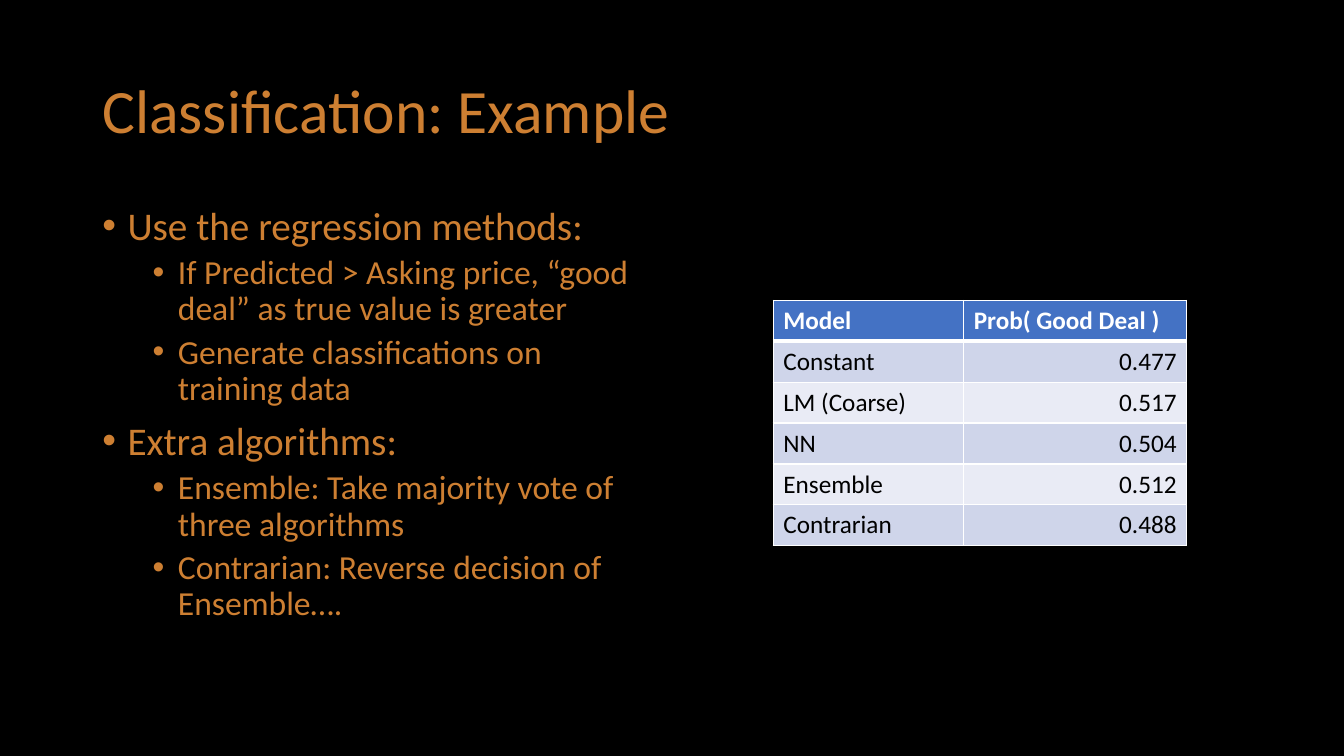
"""Build the slide on classification by regression methods."""
import pptx
import pptx.dml.color
import pptx.enum.text
import pptx.oxml
import pptx.oxml.ns
import pptx.util

Pt = pptx.util.Pt
FONT = "Calibri"
COLORS = {
    "background": "000000",
    "bronze": "CD7F32",
    "header": "4472C4",
    "odd": "CFD5EA",
    "even": "E9EBF5",
    "white": "FFFFFF",
    "black": "000000",
}
POINTS = [
    (0, "Use the regression methods:"),
    (1, "If Predicted > Asking price, “good deal” as true value is greater"),
    (1, "Generate classifications on training data"),
    (0, "Extra algorithms:"),
    (1, "Ensemble: Take majority vote of three algorithms"),
    (1, "Contrarian: Reverse decision of Ensemble…."),
]
PROBABILITIES = [
    ("Model", "Prob( Good Deal )"),
    ("Constant", "0.477"),
    ("LM (Coarse)", "0.517"),
    ("NN", "0.504"),
    ("Ensemble", "0.512"),
    ("Contrarian", "0.488"),
]


def rgb(name):
    return pptx.dml.color.RGBColor.from_string(COLORS[name])


def format_runs(paragraph, size, color, bold=False):
    for run in paragraph.runs:
        run.font.name = FONT
        run.font.size = Pt(size)
        run.font.bold = bold
        run.font.color.rgb = rgb(color)


def add_xml(parent, xml):
    namespace = pptx.oxml.ns.nsdecls("a")
    parent.append(pptx.oxml.parse_xml(xml.replace(" ", f" {namespace} ", 1)))


def set_title(slide, text):
    title = slide.shapes.title
    title.left, title.top, title.width, title.height = Pt(66), Pt(28.75), Pt(828), Pt(104.4)
    frame = title.text_frame
    frame.text = text
    frame.vertical_anchor = pptx.enum.text.MSO_ANCHOR.MIDDLE
    heading = frame.paragraphs[0]
    heading.alignment = pptx.enum.text.PP_ALIGN.LEFT
    heading.line_spacing = 0.9
    format_runs(heading, 44, "bronze")


def add_bullets(slide, points):
    frame = slide.shapes.add_textbox(Pt(66), Pt(143.75), Pt(408), Pt(342.6)).text_frame
    frame.word_wrap = True
    for index, (level, text) in enumerate(points):
        point = frame.add_paragraph() if index else frame.paragraphs[0]
        point.text = text
        point.level = level
        properties = point._p.get_or_add_pPr()
        properties.set("marL", str(Pt(18 + 36 * level)))
        properties.set("indent", str(Pt(-18)))
        add_xml(properties, '<a:buFont typeface="Arial"/>')
        add_xml(properties, '<a:buChar char="•"/>')
        point.line_spacing = 0.9
        if index:
            point.space_before = Pt(5 if level else 10)
        format_runs(point, 24 if level else 28, "bronze")


def add_borders(cell, row):
    widths = {"L": 1, "R": 1, "T": 3 if row == 1 else 1, "B": 3 if row == 0 else 1}
    for side, width in widths.items():
        add_xml(
            cell._tc.get_or_add_tcPr(),
            f'<a:ln{side} w="{Pt(width)}"><a:solidFill>'
            f'<a:srgbClr val="{COLORS["white"]}"/></a:solidFill></a:ln{side}>',
        )


def add_probability_table(slide, rows):
    widths = (136, 159.3)
    row_height = 29.2
    table = slide.shapes.add_table(
        len(rows), len(widths), Pt(552.4), Pt(214.6), Pt(sum(widths)), Pt(row_height * len(rows))
    ).table
    for column, width in zip(table.columns, widths):
        column.width = Pt(width)
    for row, texts in enumerate(rows):
        table.rows[row].height = Pt(row_height)
        band = "header" if row == 0 else ("even", "odd")[row % 2]
        for column, text in enumerate(texts):
            cell = table.cell(row, column)
            cell.text = text
            add_borders(cell, row)
            cell.fill.solid()
            cell.fill.fore_color.rgb = rgb(band)
            entry = cell.text_frame.paragraphs[0]
            if row and column:
                entry.alignment = pptx.enum.text.PP_ALIGN.RIGHT
            format_runs(entry, 18, "black" if row else "white", bold=row == 0)


def main():
    presentation = pptx.Presentation()
    presentation.slide_width = Pt(960)
    presentation.slide_height = Pt(540)
    slide = presentation.slides.add_slide(presentation.slide_layouts.get_by_name("Title Only"))
    slide.background.fill.solid()
    slide.background.fill.fore_color.rgb = rgb("background")
    set_title(slide, "Classification: Example")
    add_bullets(slide, POINTS)
    add_probability_table(slide, PROBABILITIES)
    presentation.save("out.pptx")


if __name__ == "__main__":
    main()
